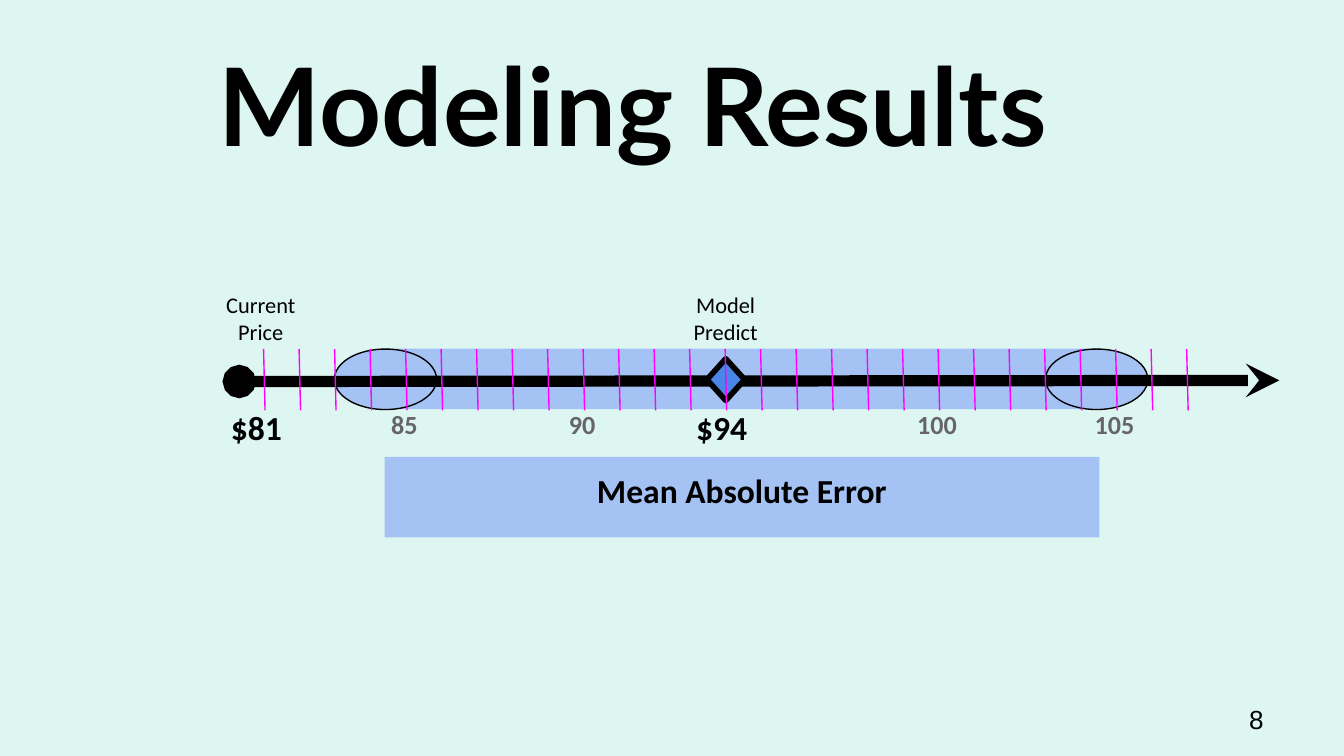
from pptx import Presentation
from pptx.dml.color import RGBColor
from pptx.enum.shapes import MSO_CONNECTOR, MSO_SHAPE
from pptx.enum.text import MSO_ANCHOR, PP_ALIGN
from pptx.oxml.ns import qn
from pptx.util import Pt
from lxml.etree import SubElement

COLORS = {
    "background": "DEF6F1",
    "ink": "000000",
    "band": "A4C2F4",
    "marker": "4A86E8",
    "tick": "FF00FF",
    "scale": "666666",
}


class SlideBuilder:
    """Holds the style and the current page; all lengths are in points."""

    font = "Calibri"

    def __init__(self, page):
        self.page = page
        self.page.background.fill.solid()
        self.page.background.fill.fore_color.rgb = self.color("background")

    def color(self, name):
        return RGBColor.from_string(COLORS[name])

    def set_text(self, shape, text, size, bold=False, color="ink", font=None,
                 align=PP_ALIGN.LEFT, anchor=MSO_ANCHOR.TOP, inset=7.2):
        frame = shape.text_frame
        frame.word_wrap = True
        frame.vertical_anchor = anchor
        frame.margin_left = frame.margin_right = Pt(7.2)
        frame.margin_top = frame.margin_bottom = Pt(inset)
        para = frame.paragraphs[0]
        para.text = text
        para.alignment = align
        para.font.name = font or self.font
        para.font.size = Pt(size)
        para.font.bold = bold
        para.font.color.rgb = self.color(color)

    def text(self, left, top, width, height, text, size, **style):
        box = self.page.shapes.add_textbox(Pt(left), Pt(top), Pt(width), Pt(height))
        self.set_text(box, text, size, **style)

    def shape(self, kind, left, top, width, height, fill, line_width=0):
        shape = self.page.shapes.add_shape(
            kind, Pt(left), Pt(top), Pt(width), Pt(height))
        shape.shadow.inherit = False
        shape.fill.solid()
        shape.fill.fore_color.rgb = self.color(fill)
        if line_width:
            shape.line.color.rgb = self.color("ink")
            shape.line.width = Pt(line_width)
        else:
            shape.line.fill.background()
        return shape

    def line(self, x1, y1, x2, y2, color, width, head=None, tail=None):
        line = self.page.shapes.add_connector(
            MSO_CONNECTOR.STRAIGHT, Pt(x1), Pt(y1), Pt(x2), Pt(y2))
        line.line.color.rgb = self.color(color)
        line.line.width = Pt(width)
        properties = line._element.spPr
        outline = properties.find(qn("a:ln"))
        for tag, end in (("a:headEnd", head), ("a:tailEnd", tail)):
            if end:
                SubElement(outline, qn(tag), type=end, w="med", len="med")
        SubElement(properties, qn("a:effectLst"))


def price_x(price):
    """Position of a price on the scale, where each tick is one dollar."""
    return 141.2 + 19.02 * (price - 81)


def main():
    deck = Presentation()
    deck.slide_width, deck.slide_height = Pt(720), Pt(405)
    slide = SlideBuilder(deck.slides.add_slide(deck.slide_layouts[6]))

    # Error range with rounded ends
    band_left, band_width = 206, 383
    slide.shape(MSO_SHAPE.RECTANGLE, band_left, 186.8, band_width, 32.4, "band")
    for center in (band_left + band_width - 1.5, band_left + 0.5):
        slide.shape(MSO_SHAPE.OVAL, center - 27.4, 187, 54.8, 32.4, "band", 0.75)

    # Title and page number
    slide.text(110.2, 19.4, 578.2, 72, "Modeling Results", 58, bold=True,
               font="Lato", anchor=MSO_ANCHOR.MIDDLE, inset=3.6)
    slide.text(516.2, 373, 167.8, 15.8, "8", 14, font="Arial",
               align=PP_ALIGN.RIGHT, inset=3.6)

    # Price axis and prediction marker
    slide.line(128.2, 204.4, 685.4, 203.8, "ink", 6, head="oval", tail="stealth")
    slide.shape(MSO_SHAPE.DIAMOND, 378.7, 192.2, 20.2, 22.4, "marker", 3)

    # Captions and prices of the two marked points
    for caption, left, price, price_left in (
            ("Current Price", 113.8, "$81", 116.6),
            ("Model Predict", 362.9, "$94", 365.8)):
        slide.text(left, 149, 51.8, 43.2, caption, 12, align=PP_ALIGN.CENTER)
        slide.text(price_left, 210.6, 46.1, 43.2, price, 18, bold=True)

    # Ticks and scale labels
    for price in range(81, 108):
        x = price_x(price)
        slide.line(x, 187, x + 0.8, 219.8, "tick", 0.75)
    for price in (85, 90, 100, 105):
        slide.text(price_x(price) - 23.6, 211, 46, 32.4, str(price), 14, bold=True,
                   color="scale", align=PP_ALIGN.CENTER, anchor=MSO_ANCHOR.MIDDLE)

    # Error legend
    legend = slide.shape(MSO_SHAPE.RECTANGLE, band_left, 244.8, band_width, 43.2, "band")
    slide.set_text(legend, "Mean Absolute Error", 18, bold=True, align=PP_ALIGN.CENTER)

    deck.save("out.pptx")


if __name__ == "__main__":
    main()
